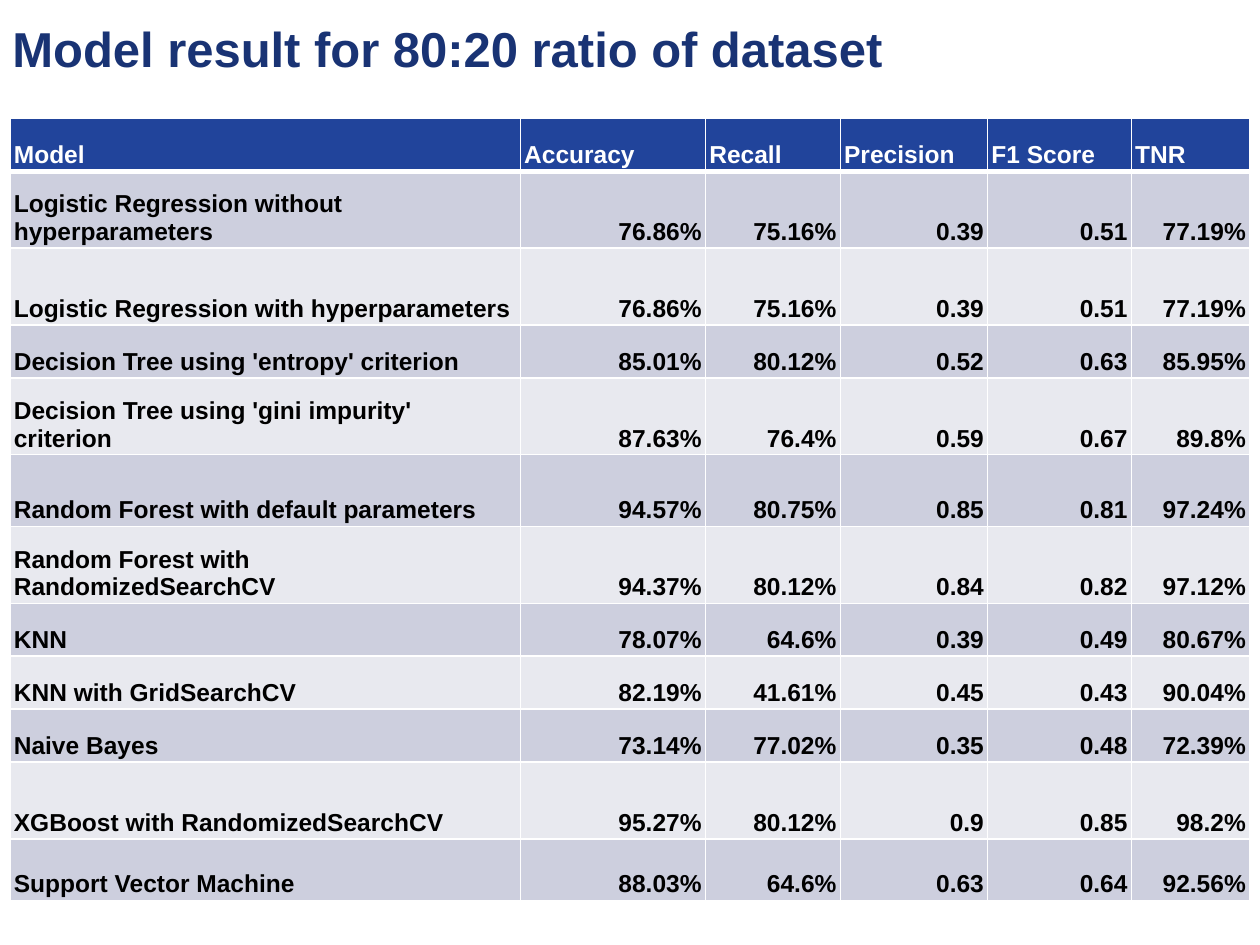
from dataclasses import dataclass

from lxml import etree
from pptx import Presentation
from pptx.dml.color import RGBColor
from pptx.enum import text
from pptx.oxml import ns
from pptx.util import Inches, Pt


@dataclass(frozen=True)
class Theme:
    font: str = "Arial"
    title_size: int = 28
    table_size: int = 14
    title: str = "193374"
    header: str = "21449B"
    header_text: str = "FFFFFF"
    body_text: str = "000000"
    bands: tuple = ("CDCFDE", "E8E9EF")
    grid: str = "FFFFFF"
    grid_width: int = 1
    header_rule: int = 3


THEME = Theme()
COLUMN_WIDTHS = [4.05, 1.47, 1.07, 1.17, 1.14, 0.94]
HEADINGS = ("Model", "Accuracy", "Recall", "Precision", "F1 Score", "TNR")
RESULTS = [
    (0.61, "Logistic Regression without hyperparameters", "76.86%", "75.16%", "0.39", "0.51", "77.19%"),
    (0.61, "Logistic Regression with hyperparameters", "76.86%", "75.16%", "0.39", "0.51", "77.19%"),
    (0.42, "Decision Tree using 'entropy' criterion", "85.01%", "80.12%", "0.52", "0.63", "85.95%"),
    (0.61, "Decision Tree using 'gini impurity' criterion", "87.63%", "76.4%", "0.59", "0.67", "89.8%"),
    (0.57, "Random Forest with default parameters", "94.57%", "80.75%", "0.85", "0.81", "97.24%"),
    (0.61, "Random Forest with RandomizedSearchCV", "94.37%", "80.12%", "0.84", "0.82", "97.12%"),
    (0.42, "KNN", "78.07%", "64.6%", "0.39", "0.49", "80.67%"),
    (0.42, "KNN with GridSearchCV", "82.19%", "41.61%", "0.45", "0.43", "90.04%"),
    (0.42, "Naive Bayes", "73.14%", "77.02%", "0.35", "0.48", "72.39%"),
    (0.61, "XGBoost with RandomizedSearchCV", "95.27%", "80.12%", "0.9", "0.85", "98.2%"),
    (0.49, "Support Vector Machine", "88.03%", "64.6%", "0.63", "0.64", "92.56%"),
]


def style_paragraph(paragraph, size, color):
    paragraph.font.name = THEME.font
    paragraph.font.size = Pt(size)
    paragraph.font.bold = True
    paragraph.font.color.rgb = RGBColor.from_string(color)


def add_title(slide, wording):
    title = slide.shapes.add_textbox(Inches(0), Inches(0.1), Inches(7.19), Inches(0.57))
    frame = title.text_frame
    frame.word_wrap = True
    frame.auto_size = text.MSO_AUTO_SIZE.SHAPE_TO_FIT_TEXT
    frame.text = wording
    style_paragraph(frame.paragraphs[0], THEME.title_size, THEME.title)


def set_borders(cell, top, bottom):
    properties = cell._tc.get_or_add_tcPr()
    widths = {"L": THEME.grid_width, "R": THEME.grid_width, "T": top, "B": bottom}
    for side, width in widths.items():
        line = etree.SubElement(properties, ns.qn(f"a:ln{side}"), w=str(Pt(width)))
        fill = etree.SubElement(line, ns.qn("a:solidFill"))
        etree.SubElement(fill, ns.qn("a:srgbClr"), val=THEME.grid)


def fill_cell(cell, wording, row, column):
    is_header = row == 0
    cell.text = wording
    cell.vertical_anchor = text.MSO_ANCHOR.BOTTOM
    cell.margin_left = cell.margin_right = Inches(0.03)
    cell.margin_top = cell.margin_bottom = Inches(0.02)
    set_borders(
        cell,
        top=THEME.header_rule if row == 1 else THEME.grid_width,
        bottom=THEME.header_rule if is_header else THEME.grid_width,
    )
    cell.fill.solid()
    band = THEME.header if is_header else THEME.bands[(row - 1) % 2]
    cell.fill.fore_color.rgb = RGBColor.from_string(band)
    paragraph = cell.text_frame.paragraphs[0]
    is_value = column > 0 and not is_header
    paragraph.alignment = text.PP_ALIGN.RIGHT if is_value else text.PP_ALIGN.LEFT
    style_paragraph(paragraph, THEME.table_size, THEME.header_text if is_header else THEME.body_text)


def add_results(slide):
    rows = [(0.42, *HEADINGS), *RESULTS]
    height = sum(row[0] for row in rows)
    results = slide.shapes.add_table(
        len(rows), len(HEADINGS), Inches(0.08), Inches(0.94),
        Inches(sum(COLUMN_WIDTHS)), Inches(height),
    ).table
    for column, width in zip(results.columns, COLUMN_WIDTHS):
        column.width = Inches(width)
    for row, (row_height, *wordings) in enumerate(rows):
        results.rows[row].height = Inches(row_height)
        for column, wording in enumerate(wordings):
            fill_cell(results.cell(row, column), wording, row, column)


def main():
    deck = Presentation()
    deck.slide_width, deck.slide_height = Inches(10), Inches(7.5)
    slide = deck.slides.add_slide(deck.slide_layouts[6])
    add_title(slide, "Model result for 80:20 ratio of dataset")
    add_results(slide)
    deck.save("out.pptx")


if __name__ == "__main__":
    main()
